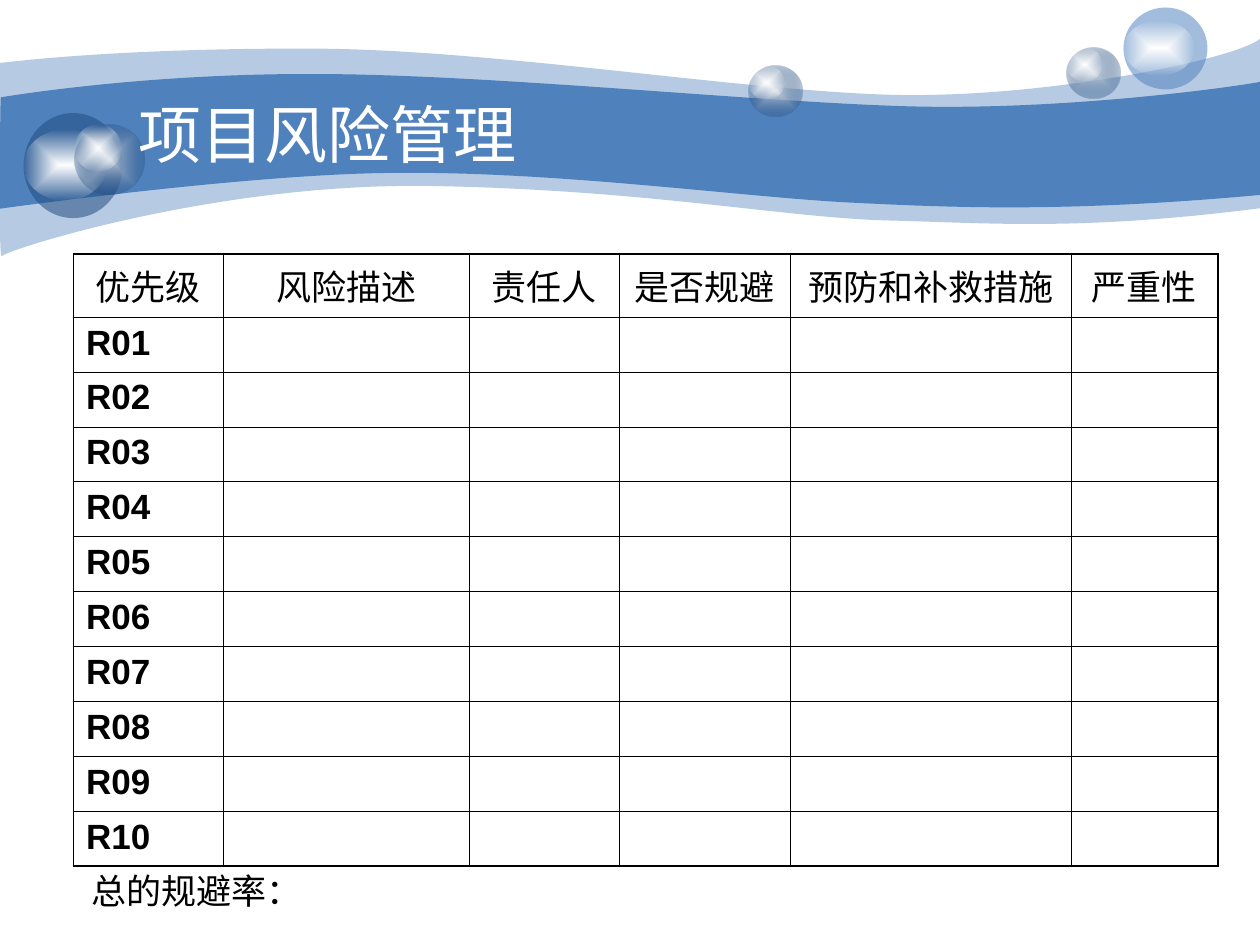
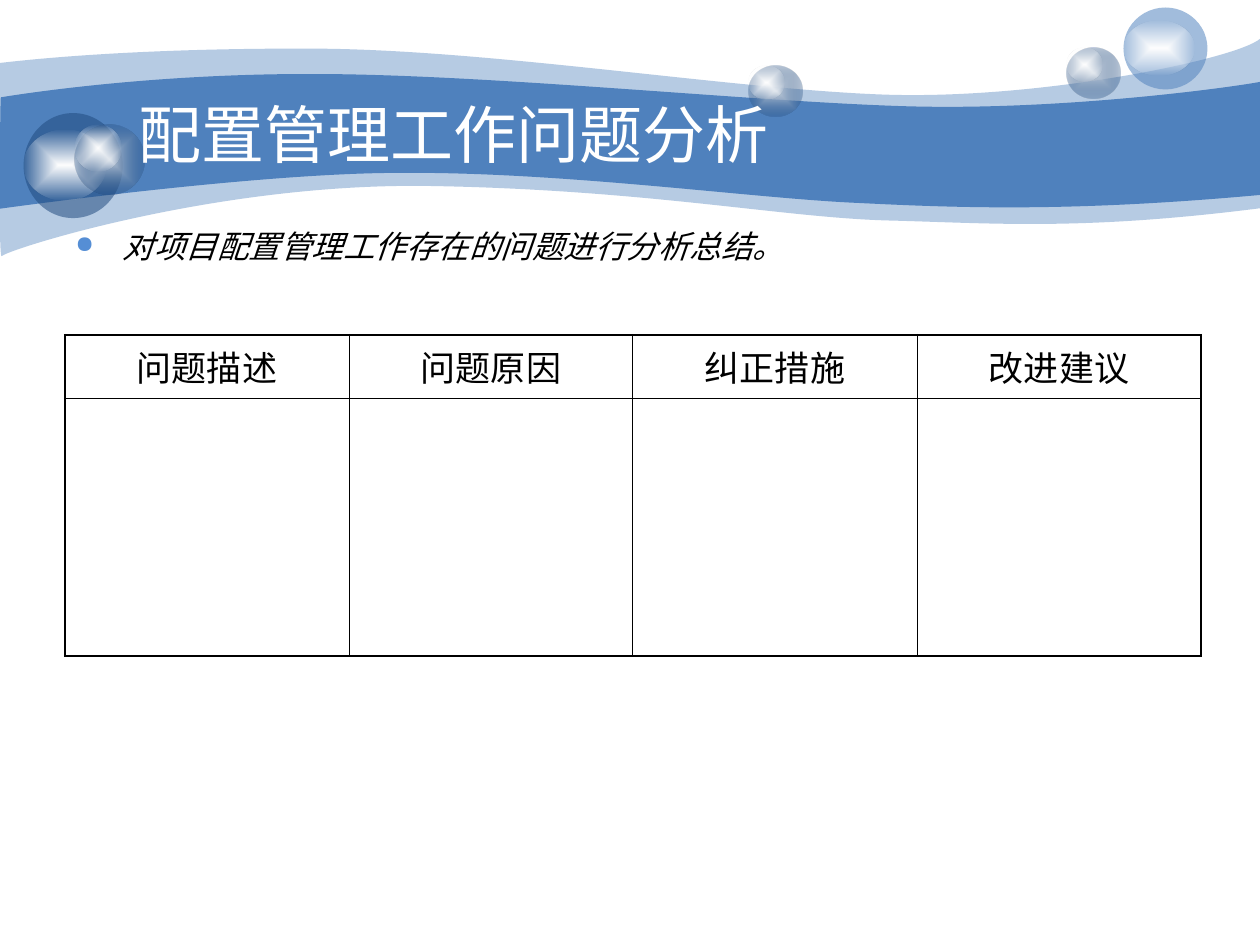
from dataclasses import dataclass

from lxml import etree
from pptx import Presentation
from pptx import util as u
from pptx.dml.color import RGBColor
from pptx.enum import shapes, text
from pptx.oxml import ns

Pt = u.Pt


@dataclass(frozen=True)
class Theme:
    blue: str = "4F81BD"
    navy: str = "1F497D"
    mist: str = "C6D1DE"
    dot: str = "558ED5"
    white: str = "FFFFFF"
    ink: str = "000000"
    cjk: str = "Noto Sans CJK SC"
    latin: str = "Arial"
    title: int = 36
    body: int = 20
    note: int = 18
    thick: float = 1.08
    thin: float = 0.45


T = Theme()
HEAD = (0, 0, 720, 150)
TITLE = (72, 53.6, 582, 45)

# Wave outlines: a pair is a line, six numbers are a curve
OUTER = [
    (0, 36), (17, 34, 77, 27.5, 178, 27.8), (278, 28, 414, 50.5, 503, 54),
    (592, 57.5, 706, 34, 720, 22.2), (720, 119),
    (618, 132, 567, 127.5, 508, 126), (448, 124.5, 371, 108.5, 247, 106.3),
    (124, 104, 3, 143, 1, 146.4), (-1, 150, 0, 54, 0, 36),
]
INNER = [
    (0.5, 55.6), (1, 55.6, 79, 42, 179, 42.3), (278, 42.3, 428, 58, 517, 60.7),
    (606, 63.4, 703, 50, 720, 46.8), (720, 111.4),
    (614, 121, 551, 119, 491, 116), (431, 113.5, 322, 98, 228, 98.8),
    (146, 98.8, -1.4, 119.4, -1, 119.4), (0, 119.4, 0, 55.6, 0.5, 55.6),
]
# Orbs: box, colour, and whether the fill fades from the centre
ORBS = [
    ((609.6, 27, 30.6, 29.2), T.navy, True),
    ((642, 4.3, 48, 46.8), T.blue, False),
    ((13.5, 64.6, 56.6, 60), T.navy, False),
    ((42.5, 71, 40, 40), T.navy, True),
    ((427.8, 37.4, 30.6, 29.2), T.navy, True),
]


def sub(parent, tag, **attrs):
    return etree.SubElement(parent, ns.qn("a:" + tag), attrs)


def paint(shape, color, alpha=100):
    """Solid fill without outline or shadow."""
    shape.shadow.inherit = False
    shape.line.fill.background()
    shape.fill.solid()
    shape.fill.fore_color.rgb = RGBColor.from_string(color)
    if alpha < 100:
        clr = shape.fill._xPr.find(".//" + ns.qn("a:srgbClr"))
        sub(clr, "alpha", val=str(alpha * 1000))


def fade(shape, core, rim, alpha):
    """Fill that runs from the centre out to a see-through rim."""
    paint(shape, core)
    solid = shape.fill._xPr.find(ns.qn("a:solidFill"))
    grad = etree.Element(ns.qn("a:gradFill"), rotWithShape="1")
    stops = sub(grad, "gsLst")
    sub(sub(stops, "gs", pos="0"), "srgbClr", val=core)
    edge = sub(sub(stops, "gs", pos="100000"), "srgbClr", val=rim)
    sub(edge, "alpha", val=str(alpha * 1000))
    half = dict.fromkeys("ltrb", "50000")
    sub(sub(grad, "path", path="rect"), "fillToRect", **half)
    solid.getparent().replace(solid, grad)


def wave(slide, box, steps, alpha):
    """Closed outline, whose triples of points become curves."""
    spots = [(Pt(box[0] + step[i]), Pt(box[1] + step[i + 1]))
             for step in steps for i in range(0, len(step), 2)]
    form = slide.shapes.build_freeform(*spots[0], scale=1.0)
    form.add_line_segments(spots[1:], close=True)
    shape = form.convert_to_shape()
    lines = iter(shape._element.findall(".//" + ns.qn("a:lnTo")))
    for step in steps[1:]:
        run = [next(lines) for _ in range(len(step) // 2)]
        if len(run) == 3:
            curve = etree.Element(ns.qn("a:cubicBezTo"))
            run[0].addprevious(curve)
            for line in run:
                curve.append(line[0])
                line.getparent().remove(line)
    paint(shape, T.blue, alpha)


def oval(group, x, y, w, h):
    return group.shapes.add_shape(shapes.MSO_SHAPE.OVAL,
                                  Pt(x), Pt(y), Pt(w), Pt(h))


def orb(slide, box, color, soft):
    """Ball with a gloss on its left side."""
    x, y, w, h = box
    group = slide.shapes.add_group_shape()
    ball = oval(group, *box)
    if soft:
        fade(ball, T.mist, color, 31)
        gloss = oval(group, x, y, w * 0.67, h * 0.67)
    else:
        paint(ball, color, 53)
        gloss = oval(group, x, y + h * 0.16, w * 0.84, h * 0.67)
    fade(gloss, T.white, T.white, 0)


def style(para, size, face, color, bold=None, slant=None):
    font = para.font
    font.size, font.name = Pt(size), face
    font.bold, font.italic = bold, slant
    font.color.rgb = RGBColor.from_string(color)


def label(slide, box, words, anchor=text.MSO_ANCHOR.MIDDLE):
    frame = slide.shapes.add_textbox(*map(Pt, box)).text_frame
    frame.word_wrap = True
    frame.vertical_anchor = anchor
    frame.paragraphs[0].text = words
    return frame.paragraphs[0]


def header(slide, box, title):
    """Waves, orbs and title."""
    wave(slide, box, OUTER, 41)
    wave(slide, box, INNER, 100)
    for (x, y, w, h), color, soft in ORBS:
        orb(slide, (box[0] + x, box[1] + y, w, h), color, soft)
    x, y, w, h = TITLE
    para = label(slide, (box[0] + x, box[1] + y, w, h), title)
    style(para, T.title, T.cjk, T.white)


def bullet(slide, box, words):
    para = label(slide, box, words, text.MSO_ANCHOR.TOP)
    props = para._p.get_or_add_pPr()
    props.set("marL", str(Pt(27)))
    props.set("indent", str(-Pt(27)))
    sub(sub(props, "buClr"), "srgbClr", val=T.dot)
    sub(props, "buSzPct", val="75000")
    sub(props, "buChar", char="●")
    style(para, T.note, T.cjk, T.ink, slant=True)


def border(cell, sides):
    """Draw the cell edges, given widths by side."""
    props = cell._tc.get_or_add_tcPr()
    for i, (side, width) in enumerate(sides.items()):
        line = etree.Element(ns.qn("a:ln" + side), w=str(Pt(width)))
        sub(sub(line, "solidFill"), "srgbClr", val=T.ink)
        props.insert(i, line)


def grid(slide, box, widths, heights, heads, names=()):
    """Ruled table: heads across the top, names down the left."""
    rows, cols = len(heights), len(widths)
    table = slide.shapes.add_table(rows, cols, *map(Pt, box)).table
    table.first_row = table.horz_banding = False
    for col, width in zip(table.columns, widths):
        col.width = Pt(width)
    for row, height in zip(table.rows, heights):
        row.height = Pt(height)
    for r in range(rows):
        for c in range(cols):
            cell = table.cell(r, c)
            cell.fill.background()
            outer = {"L": c == 0, "R": c == cols - 1,
                     "T": r == 0, "B": r == rows - 1}
            border(cell, {side: T.thick if out else T.thin
                          for side, out in outer.items()})
            para = cell.text_frame.paragraphs[0]
            if r == 0:
                para.text = heads[c]
                para.alignment = text.PP_ALIGN.CENTER
                style(para, T.body, T.latin, T.ink, bold=False)
            elif c == 0 and names:
                para.text = names[r - 1]
                style(para, T.body, T.latin, T.ink, bold=True)


def risks(slide):
    header(slide, HEAD, "项目风险管理")
    widths = [85.7, 140.4, 85.7, 97.9, 160.4, 83.9]
    heads = ["优先级", "风险描述", "责任人", "是否规避", "预防和补救措施", "严重性"]
    names = [f"R{n:02}" for n in range(1, 11)]
    heights = [36.2] + [31.4] * len(names)
    grid(slide, (42, 145, sum(widths), sum(heights)), widths, heights,
         heads, names)
    para = label(slide, (45, 494.7, 649.5, 28), "总的规避率：")
    style(para, T.body, T.latin, T.ink)


def issues(slide):
    header(slide, HEAD, "配置管理工作问题分析")
    bullet(slide, (36, 126, 648, 67.5), "对项目配置管理工作存在的问题进行分析总结。")
    heads = ["问题描述", "问题原因", "纠正措施", "改进建议"]
    widths, heights = [162.6, 162] * 2, [36.2, 147.4]
    grid(slide, (37, 191.3, sum(widths), sum(heights)), widths, heights, heads)


def main():
    deck = Presentation()
    deck.slide_width, deck.slide_height = Pt(720), Pt(540)
    for build in (risks, issues):
        build(deck.slides.add_slide(deck.slide_layouts[6]))
    deck.save("out.pptx")


if __name__ == "__main__":
    main()
